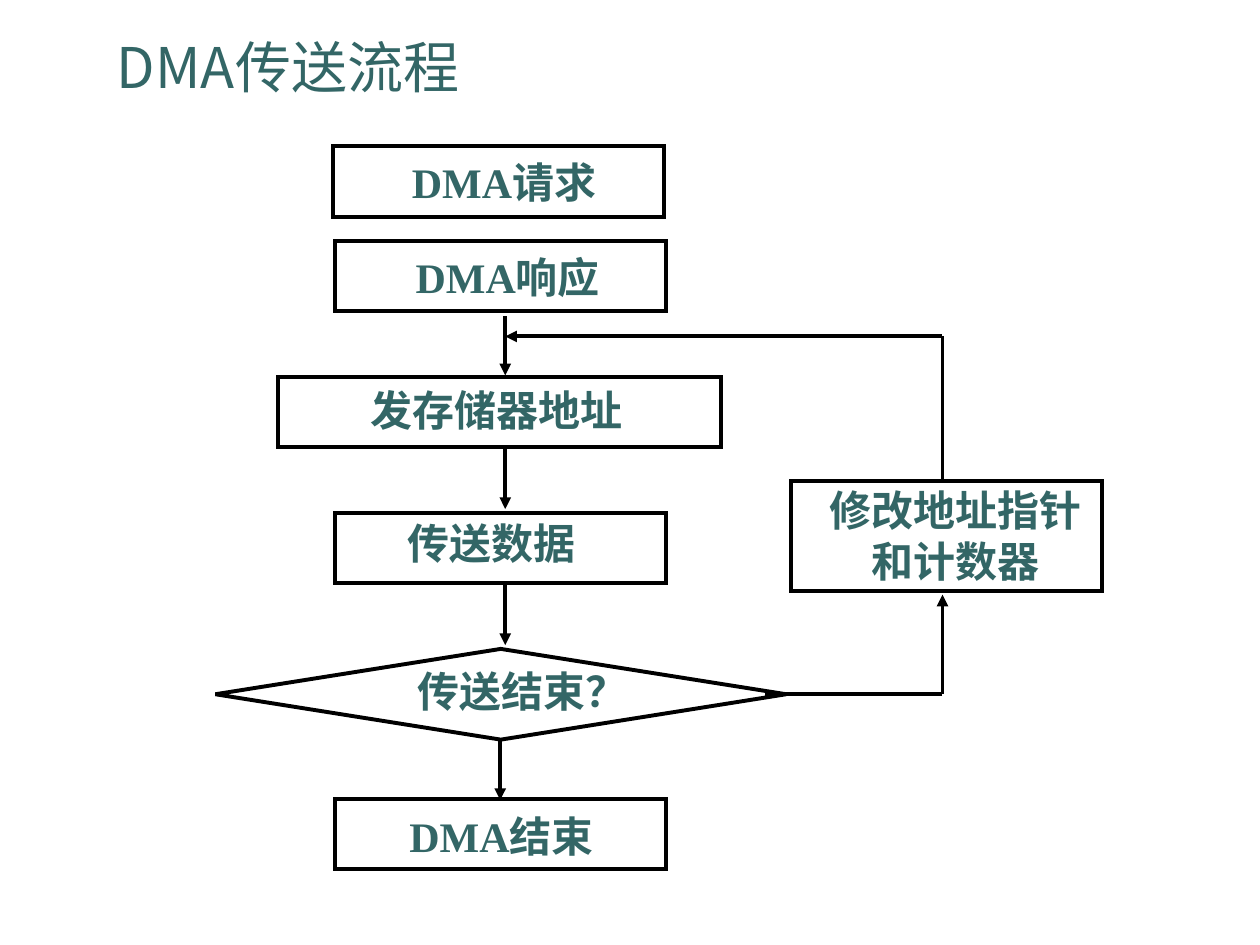
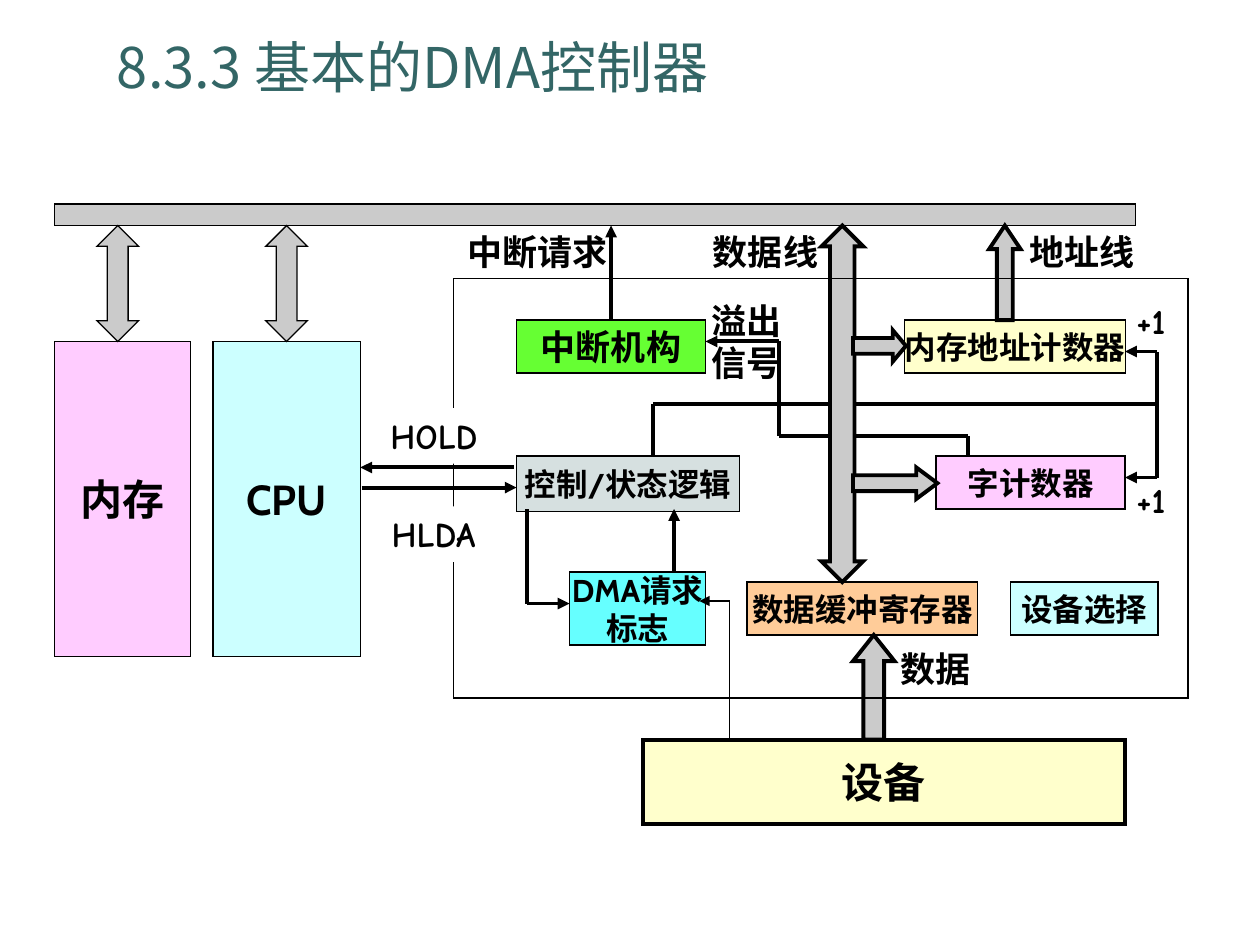
"""Build two slides: the DMA transfer flow and the basic DMA controller."""
from pptx import Presentation
from pptx.dml.color import RGBColor
from pptx.enum.shapes import MSO_CONNECTOR, MSO_SHAPE
from pptx.enum.text import MSO_ANCHOR, PP_ALIGN
from pptx.oxml.ns import qn
from pptx.util import Inches, Pt
from lxml import etree

RECT = MSO_SHAPE.RECTANGLE
PROCESS = MSO_SHAPE.FLOWCHART_PROCESS
DECISION = MSO_SHAPE.FLOWCHART_DECISION
UP = MSO_SHAPE.UP_ARROW
UP_DOWN = MSO_SHAPE.UP_DOWN_ARROW
RIGHT = MSO_SHAPE.RIGHT_ARROW
STRAIGHT = MSO_CONNECTOR.STRAIGHT
LEFT, CENTER = PP_ALIGN.LEFT, PP_ALIGN.CENTER
TOP, MIDDLE, BOTTOM = MSO_ANCHOR.TOP, MSO_ANCHOR.MIDDLE, MSO_ANCHOR.BOTTOM

TEAL = RGBColor(0x33, 0x66, 0x66)
BLACK = RGBColor(0, 0, 0)
WHITE = RGBColor(0xFF, 0xFF, 0xFF)
GRAY = RGBColor(0xCB, 0xCB, 0xCB)
SLATE = RGBColor(0xD6, 0xE0, 0xE0)
PINK = RGBColor(0xFF, 0xCC, 0xFF)
PALE_CYAN = RGBColor(0xCC, 0xFF, 0xFF)
CYAN = RGBColor(0x66, 0xFF, 0xFF)
GREEN = RGBColor(0x66, 0xFF, 0x33)
CREAM = RGBColor(0xFF, 0xFF, 0xCC)
ORANGE = RGBColor(0xFF, 0xCC, 0x99)

CJK = "Noto Sans CJK SC"
SERIF, SANS, HAND = "Times New Roman", "Cabin", "Comic Neue"
THIN, THICK = 0.75, 2.25
TITLE_AT = (0.83, 0.21, 8.42, 0.63)

FLOW_TITLE = "DMA传送流程"
FLOW_SHAPES = [
    (RECT, (2.64, 1.16, 2.63, 0.56)),
    (RECT, (2.66, 1.91, 2.63, 0.56)),
    (RECT, (2.21, 2.99, 3.51, 0.56)),
    (RECT, (2.66, 4.07, 2.63, 0.56)),
    (DECISION, (1.71, 5.15, 4.53, 0.72)),
    (RECT, (2.66, 6.34, 2.63, 0.56)),
    (RECT, (6.28, 3.82, 2.47, 0.87)),
]
FLOW_LABELS = [
    ("DMA请求", (3.13, 1.19, 1.74, 0.5)),
    ("DMA响应", (3.16, 1.95, 1.74, 0.5)),
    ("发存储器地址", (2.79, 3, 2.3, 0.5)),
    ("传送数据", (3.1, 4.06, 1.6, 0.5)),
    ("传送结束？", (3.15, 5.23, 2, 0.5)),
    ("DMA结束", (3.11, 6.38, 1.74, 0.5)),
    ("修改地址指针\n和计数器", (6.04, 3.8, 3.08, 0.9)),
]
FLOW_ROUTES = [
    [(4.01, 2.51), (4.01, 2.98)],
    [(4.01, 3.56), (4.01, 4.04)],
    [(4.01, 4.64), (4.01, 5.12)],
    [(3.97, 5.88), (3.97, 6.35)],
    [(6.07, 5.51), (7.48, 5.51), (7.48, 4.72)],
    [(7.48, 3.81), (7.48, 2.67), (4.01, 2.67)],
]

CTRL_TITLE = "8.3.3 基本的DMA控制器"
BUS_AT = (0.43, 1.62, 8.58, 0.17)
FRAME_AT = (3.6, 2.21, 5.83, 3.33)
BLOCKS = [
    ("内存", (0.43, 2.71, 1.08, 2.5), PINK, 24, THIN),
    ("CPU", (1.69, 2.71, 1.17, 2.5), PALE_CYAN, 24, THIN),
    ("中断机构", (4.1, 2.54, 1.5, 0.42), GREEN, 20, THIN),
    ("控制/状态逻辑", (4.1, 3.62, 1.77, 0.44), SLATE, 18, THIN),
    ("DMA请求\n标志", (4.52, 4.54, 1.08, 0.58), CYAN, 18, THIN),
    ("内存地址计数器", (7.18, 2.54, 1.75, 0.42), CREAM, 18, THIN),
    ("字计数器", (7.43, 3.62, 1.5, 0.42), PINK, 18, THIN),
    ("数据缓冲寄存器", (5.93, 4.62, 1.83, 0.42), ORANGE, 18, THIN),
    ("设备选择", (8.02, 4.62, 1.17, 0.42), PALE_CYAN, 18, THIN),
    ("设备", (5.1, 5.87, 3.83, 0.67), CREAM, 24, THICK),
]
BLOCK_ARROWS = [
    (UP_DOWN, (0.77, 1.79, 0.33, 0.92), (0.55, 0.5), THIN),
    (UP_DOWN, (2.11, 1.79, 0.33, 0.92), (0.55, 0.5), THIN),
    (UP, (7.85, 1.79, 0.25, 0.75), (0.5, 0.75), THICK),
    (UP, (6.77, 5.04, 0.33, 0.83), (0.5, 0.63), THICK),
    (UP_DOWN, (6.52, 1.79, 0.33, 2.83), (0.83, 0.59), THICK),
    (RIGHT, (6.77, 2.62, 0.42, 0.25), (0.5, 0.42), THICK),
    (RIGHT, (6.77, 3.71, 0.67, 0.25), (0.5, 0.67), THICK),
]
CTRL_ROUTES = [
    ([(4.85, 2.54), (4.85, 1.79)], THICK, True),
    ([(9.18, 3.79), (9.18, 2.79), (8.93, 2.79)], THICK, True),
    ([(9.18, 3.79), (8.93, 3.79)], THICK, True),
    ([(9.18, 3.21), (5.18, 3.21), (5.18, 3.62)], THICK, False),
    ([(7.68, 3.62), (7.68, 3.46), (6.18, 3.46), (6.18, 2.71), (5.6, 2.71)],
     THICK, True),
    ([(5.35, 4.54), (5.35, 4.04)], THICK, True),
    ([(4.18, 4.04), (4.18, 4.79), (4.52, 4.79)], THICK, True),
    ([(4.08, 3.71), (2.86, 3.71)], THICK, True),
    ([(2.87, 3.87), (4.1, 3.87)], THICK, True),
    ([(5.79, 5.88), (5.79, 4.77), (5.55, 4.77)], THIN, True),
]
SIGNALS = [
    ("HOLD", (3, 3.24, 0.89, 0.44), WHITE, False),
    ("HLDA", (3.01, 4.02, 0.87, 0.44), WHITE, False),
    ("溢出信号", (5.55, 2.33, 0.87, 0.77), None, True),
    ("+1", (8.92, 2.33, 0.43, 0.44), None, False),
    ("+1", (8.92, 3.75, 0.43, 0.44), None, False),
    ("数据", (7.05, 5.09, 0.85, 0.44), None, False),
    ("中断请求", (3.61, 1.78, 1.4, 0.44), None, False),
    ("数据线", (5.56, 1.78, 1.15, 0.44), None, False),
    ("地址线", (8.07, 1.78, 1.15, 0.44), None, False),
]


def write(sp, text, size, font, color=BLACK, bold=True, align=CENTER,
          anchor=TOP, wrap=False):
    tf = sp.text_frame
    tf.word_wrap = wrap
    tf.vertical_anchor = anchor
    for i, line in enumerate(text.split("\n")):
        p = tf.add_paragraph() if i else tf.paragraphs[0]
        p.alignment = align
        r = p.add_run()
        r.text = line
        r.font.size = Pt(size)
        r.font.name = font
        r.font.bold = bold
        r.font.color.rgb = color
        etree.SubElement(r.font._element, qn("a:ea"), typeface=CJK)


def add_label(s, text, at, size, font, fill=None, **style):
    sp = s.shapes.add_textbox(*map(Inches, at))
    if fill is not None:
        sp.fill.solid()
        sp.fill.fore_color.rgb = fill
    write(sp, text, size, font, **style)


def add_outline(s, kind, at, width, fill=None, adjust=()):
    sp = s.shapes.add_shape(kind, *map(Inches, at))
    sp.shadow.inherit = False
    if fill is None:
        sp.fill.background()
    else:
        sp.fill.solid()
        sp.fill.fore_color.rgb = fill
    sp.line.color.rgb = BLACK
    sp.line.width = Pt(width)
    ln = sp._element.spPr.find(qn("a:ln"))
    etree.SubElement(ln, qn("a:miter"), lim="800000")
    for i, value in enumerate(adjust):
        sp.adjustments[i] = value
    return sp


def add_route(s, points, width=THICK, arrow=True):
    for start, end in zip(points, points[1:]):
        c = s.shapes.add_connector(STRAIGHT, *map(Inches, start + end))
        c.line.color.rgb = BLACK
        c.line.width = Pt(width)
        props = c._element.spPr
        etree.SubElement(props, qn("a:effectLst"))
    if arrow:
        etree.SubElement(props.find(qn("a:ln")), qn("a:tailEnd"), type="triangle")


def add_slide(prs, title):
    s = prs.slides.add_slide(prs.slide_layouts[6])
    add_label(s, title, TITLE_AT, 32, CJK, color=TEAL, bold=False,
              align=LEFT, anchor=BOTTOM, wrap=True)
    return s


def build_flow(prs):
    s = add_slide(prs, FLOW_TITLE)
    for kind, at in FLOW_SHAPES:
        add_outline(s, kind, at, THICK)
    for text, at in FLOW_LABELS:
        add_label(s, text, at, 24, SERIF, color=TEAL, wrap="\n" in text)
    for points in FLOW_ROUTES:
        add_route(s, points)


def build_controller(prs):
    s = add_slide(prs, CTRL_TITLE)
    add_outline(s, RECT, BUS_AT, THIN, GRAY)
    for text, at, fill, size, width in BLOCKS:
        sp = add_outline(s, PROCESS, at, width, fill)
        write(sp, text, size, SANS, anchor=MIDDLE)
    for route in CTRL_ROUTES:
        add_route(s, *route)
    for kind, at, adjust, width in BLOCK_ARROWS:
        add_outline(s, kind, at, width, GRAY, adjust)
    add_outline(s, RECT, FRAME_AT, THIN)
    for text, at, fill, wrap in SIGNALS:
        add_label(s, text, at, 20, HAND, fill, align=LEFT, wrap=wrap)


def main():
    prs = Presentation()
    prs.slide_width, prs.slide_height = Inches(10), Inches(7.5)
    build_flow(prs)
    build_controller(prs)
    prs.save("out.pptx")


if __name__ == "__main__":
    main()
